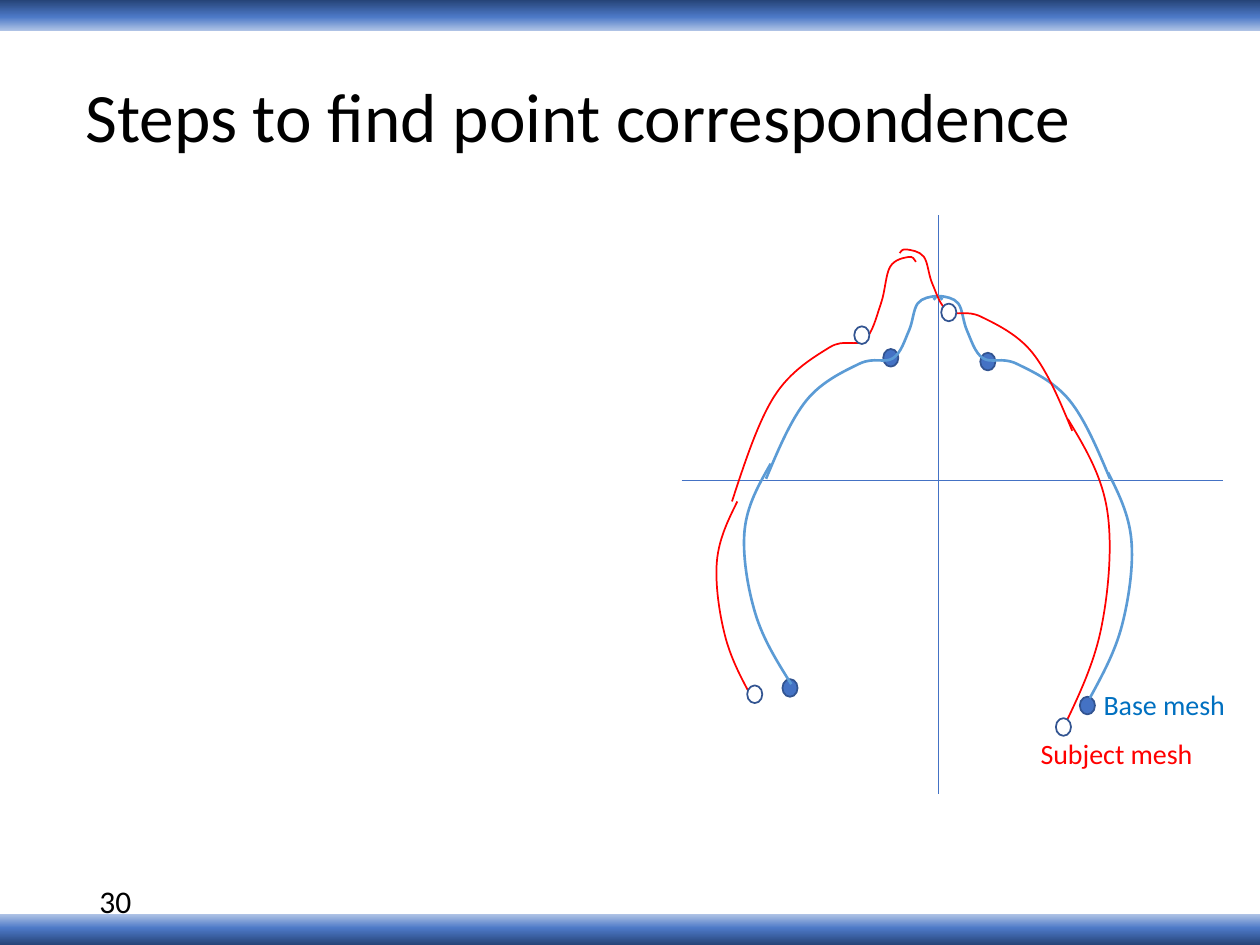
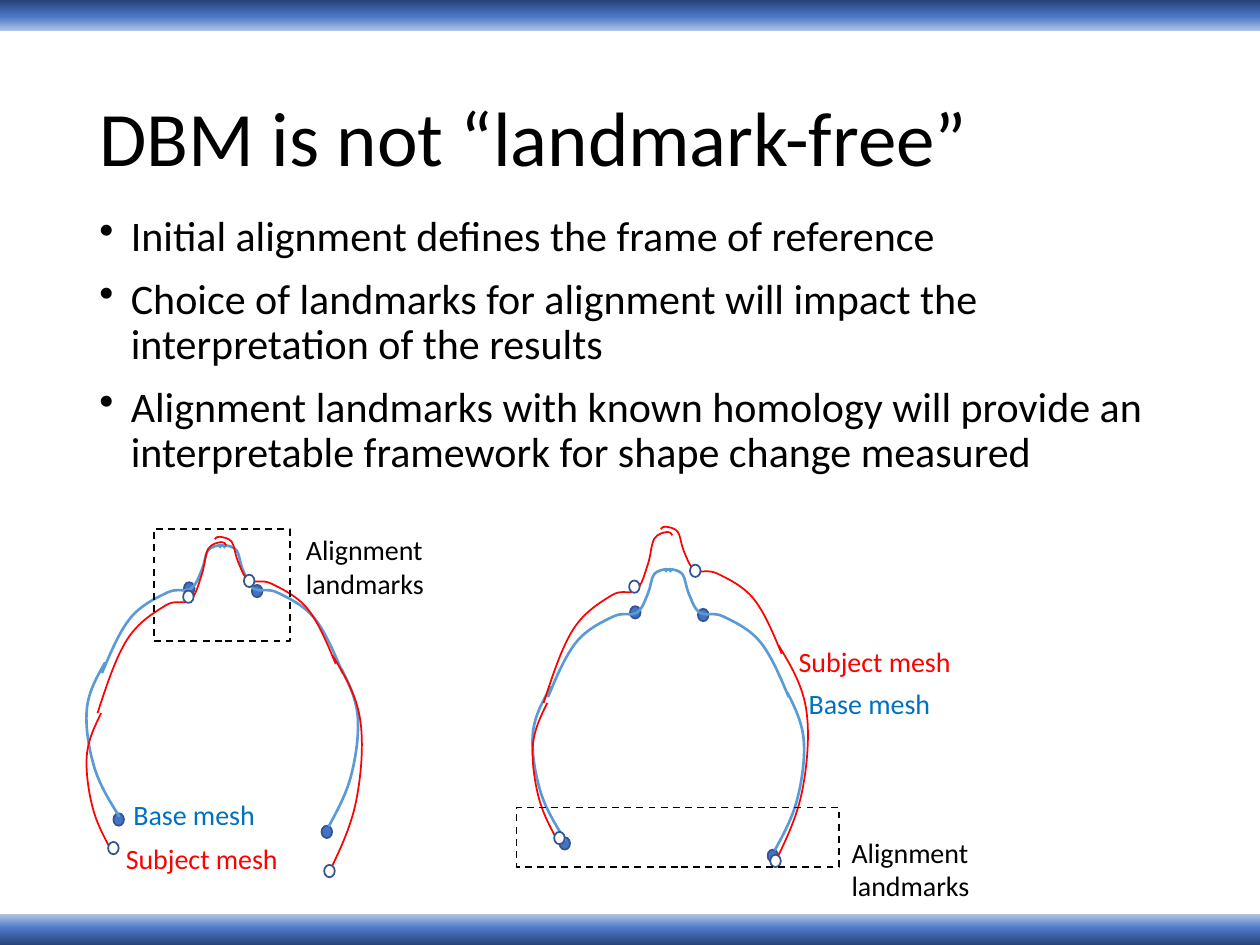
import copy
import pptx
import pptx.dml.color
import pptx.enum.dml
import pptx.enum.shapes
import pptx.enum.text
import pptx.oxml
import pptx.oxml.ns
import pptx.util

Inches = pptx.util.Inches
Pt = pptx.util.Pt
SHAPE = pptx.enum.shapes.MSO_SHAPE
ANCHOR = pptx.enum.text.MSO_ANCHOR
qn = pptx.oxml.ns.qn

# Shared look
FONT = "Calibri"
BLACK, BLUE, RED = "000000", "0070C0", "FF0000"
AXIS, RIM = "4472C4", "325491"
FADE = [(0, "B4C7E7"), (0.46, "4D79C7"), (1, "264478")]
SIZE = (10, 7.5)
BAND = 0.25
DOT = (0.12, 0.14)

# Points the two outlines pass through, as shares of their box
SIDE = [(0.44, 0), (1, 0.3), (0.77, 0.68), (0, 1)]
ARCH = [(0, 1), (0.23, 0.57), (0.53, 0.37), (0.72, 0.34),
        (0.81, 0.19), (0.86, 0.04), (0.96, 0), (1, 0.02)]

# Each mesh is made of these outlines: points, mirrored or not
PARTS = [(SIDE, False), (SIDE, True), (ARCH, False), (ARCH, True)]

# Meshes at full size: corner, dots, and one box for each part
MESHES = {
    "base": {
        "home": (5.91, 2.34), "color": "5B9BD5", "width": 1.5,
        "fill": AXIS, "turn": 0,
        "dots": [(6.21, 5.39), (8.57, 5.53), (7.01, 2.77), (7.78, 2.8)],
        "boxes": [(8.65, 3.75, 0.33, 1.79), (5.91, 3.68, 0.37, 1.75),
                  (6.08, 2.35, 1.4, 1.45), (7.41, 2.35, 1.4, 1.45)],
    },
    "subject": {
        "home": (5.69, 1.98), "color": RED, "width": 1,
        "fill": "FFFFFF", "turn": -3.8,
        "dots": [(5.93, 5.44), (8.38, 5.7), (6.78, 2.59), (7.47, 2.41)],
        "boxes": [(8.35, 3.32, 0.47, 2.46), (5.69, 3.98, 0.29, 1.58),
                  (5.81, 2.04, 1.46, 1.94), (7.14, 1.98, 1.37, 1.44)],
    },
}

# Labels: text, colour, width, height
LABELS = {
    "base": ("Base mesh", BLUE, 1.32, 0.37),
    "subject": ("Subject mesh", RED, 1.59, 0.37),
    "marks": ("Alignment landmarks", BLACK, 1.32, 0.64),
}

# Slides: meshes as (name, left, top, scale), labels as (name, left, top)
SLIDES = [
    {
        "title": ("Steps to find point correspondence", 39.6,
                  (0.58, 0.33, 8.67, 1.25)),
        "page": "30",
        "axes": [(5.41, 3.81, 9.71, 3.81), (7.45, 1.71, 7.45, 6.3)],
        "meshes": [("base", 5.91, 2.34, 1), ("subject", 5.69, 1.98, 1)],
        "labels": [("base", 8.66, 5.41), ("subject", 8.16, 5.8)],
    },
    {
        "title": ("DBM is not “landmark-free”", 44, (0.69, 0.4, 8.62, 1.45)),
        "points": [
            "Initial alignment defines the frame of reference",
            "Choice of landmarks for alignment will impact the "
            "interpretation of the results",
            "Alignment landmarks with known homology will provide an "
            "interpretable framework for shape change measured",
        ],
        "meshes": [("base", 0.69, 4.32, 0.7), ("subject", 0.69, 4.26, 0.7),
                   ("base", 4.23, 4.51, 0.7), ("subject", 4.23, 4.18, 0.7)],
        "frames": [(1.22, 4.2, 1.08, 0.89), (4.1, 6.41, 2.56, 0.47)],
        "labels": [("base", 0.96, 6.28), ("subject", 0.9, 6.63),
                   ("base", 6.32, 5.4), ("subject", 6.24, 5.07),
                   ("marks", 2.33, 4.18), ("marks", 6.66, 6.58)],
    },
]


def rgb(code):
    return pptx.dml.color.RGBColor.from_string(code)


def stroke(shape, color, width):
    shape.line.color.rgb = rgb(color)
    shape.line.width = Pt(width)


def write(slide, text, box, size=16, color=BLACK, anchor=ANCHOR.TOP,
          spacing=None, gap=0, bullet=False):
    """Add a text box; a list of strings gives several paragraphs."""
    frame = slide.shapes.add_textbox(*map(Inches, box)).text_frame
    frame.word_wrap = True
    frame.vertical_anchor = anchor
    lines = [text] if isinstance(text, str) else text
    for i, line in enumerate(lines):
        para = frame.paragraphs[0] if i == 0 else frame.add_paragraph()
        if bullet:
            props = para._p.get_or_add_pPr()
            props.set("marL", str(Inches(0.25)))
            props.set("indent", str(-Inches(0.25)))
            props.append(pptx.oxml.parse_xml(
                '<a:buChar xmlns:a="http://schemas.openxmlformats.org/'
                'drawingml/2006/main" char="•"/>'))
        if spacing:
            para.line_spacing = spacing
        if gap and i:
            para.space_before = Pt(gap)
        run = para.add_run()
        run.text = line
        run.font.name = FONT
        run.font.size = Pt(size)
        run.font.color.rgb = rgb(color)


def band(slide, top, turn):
    bar = slide.shapes.add_shape(
        SHAPE.RECTANGLE, 0, Inches(top), Inches(SIZE[0]), Inches(BAND))
    bar.shadow.inherit = False
    bar.line.fill.background()
    bar.rotation = turn
    bar.fill.gradient()
    bar.fill.gradient_angle = 90
    stops = bar._element.spPr.find(qn("a:gradFill")).find(qn("a:gsLst"))
    stops.append(copy.deepcopy(stops[0]))
    for stop, (pos, color) in zip(bar.fill.gradient_stops, FADE):
        stop.position = pos
        stop.color.rgb = rgb(color)


def axis(slide, ends):
    line = slide.shapes.add_connector(
        pptx.enum.shapes.MSO_CONNECTOR.STRAIGHT, *map(Inches, ends))
    stroke(line, AXIS, 0.5)
    props = line._element.spPr
    props.append(props.makeelement(qn("a:effectLst"), {}))


def mix(a, b, share):
    return tuple(p + (q - p) * share for p, q in zip(a, b))


def smooth(knots):
    """Return Bezier points of a smooth curve through the knots."""
    out = [knots[0]]
    last = len(knots) - 1
    for i in range(last):
        a, b = knots[i], knots[i + 1]
        near = far = None
        if i > 0:
            near = tuple(p + (r - q) / 6
                         for p, q, r in zip(a, knots[i - 1], b))
        if i + 1 < last:
            far = tuple(p - (r - q) / 6
                        for p, q, r in zip(b, a, knots[i + 2]))
        out += [near or mix(a, far, 0.5), far or mix(near, b, 0.5), b]
    return out


def curve(shapes, knots, color, width):
    """Draw an outline, then turn each three line steps into one Bezier."""
    points = [(Inches(x), Inches(y)) for x, y in smooth(knots)]
    pen = shapes.build_freeform(*points[0])
    pen.add_line_segments(points[1:], close=False)
    shape = pen.convert_to_shape()
    shape.shadow.inherit = False
    shape.fill.background()
    stroke(shape, color, width)
    steps = list(shape._element.iter(qn("a:lnTo")))
    for i in range(0, len(steps), 3):
        trio = steps[i:i + 3]
        bend = trio[0].makeelement(qn("a:cubicBezTo"), {})
        trio[0].addprevious(bend)
        for step in trio:
            bend.append(step[0])
            step.getparent().remove(step)
    return shape


def mesh(slide, name, left, top, scale):
    data = MESHES[name]
    home = data["home"]
    shapes = slide.shapes.add_group_shape().shapes

    def place(x, y):
        return left + (x - home[0]) * scale, top + (y - home[1]) * scale

    def dots():
        for spot in data["dots"]:
            size = [Inches(side * scale) for side in DOT]
            dot = shapes.add_shape(
                SHAPE.OVAL, *map(Inches, place(*spot)), *size)
            dot.shadow.inherit = False
            dot.fill.solid()
            dot.fill.fore_color.rgb = rgb(data["fill"])
            stroke(dot, RIM, 1)

    # Base curves cover their dots; subject dots cover their curves
    if name == "base":
        dots()
    for i, ((knots, flip), box) in enumerate(zip(PARTS, data["boxes"])):
        x, y, width, height = box
        spots = [place(x + (1 - u if flip else u) * width, y + v * height)
                 for u, v in knots]
        shape = curve(shapes, spots, data["color"], data["width"])
        if i == 0:
            shape.rotation = data["turn"]
    if name == "subject":
        dots()


def dashed(slide, box):
    frame = slide.shapes.add_shape(SHAPE.RECTANGLE, *map(Inches, box))
    frame.shadow.inherit = False
    frame.fill.background()
    stroke(frame, BLACK, 1)
    frame.line.dash_style = pptx.enum.dml.MSO_LINE.DASH


def build(deck, data):
    slide = deck.slides.add_slide(deck.slide_layouts[6])
    # Bands, title, page number
    band(slide, 0, 0)
    band(slide, SIZE[1] - BAND, 180)
    title, size, box = data["title"]
    write(slide, title, box, size=size, anchor=ANCHOR.MIDDLE, spacing=0.9)
    if "page" in data:
        write(slide, data["page"], (0.69, 6.95, 2.25, 0.4), size=18)
    # Bullet points
    if "points" in data:
        write(slide, data["points"], (0.69, 1.66, 9.04, 5.1), size=24,
              spacing=0.9, gap=10, bullet=True)
    # Diagram
    for ends in data.get("axes", []):
        axis(slide, ends)
    for item in data["meshes"]:
        mesh(slide, *item)
    for box in data.get("frames", []):
        dashed(slide, box)
    for name, left, top in data["labels"]:
        text, color, width, height = LABELS[name]
        write(slide, text, (left, top, width, height), color=color)


def main():
    deck = pptx.Presentation()
    deck.slide_width, deck.slide_height = map(Inches, SIZE)
    for data in SLIDES:
        build(deck, data)
    deck.save("out.pptx")


if __name__ == "__main__":
    main()
